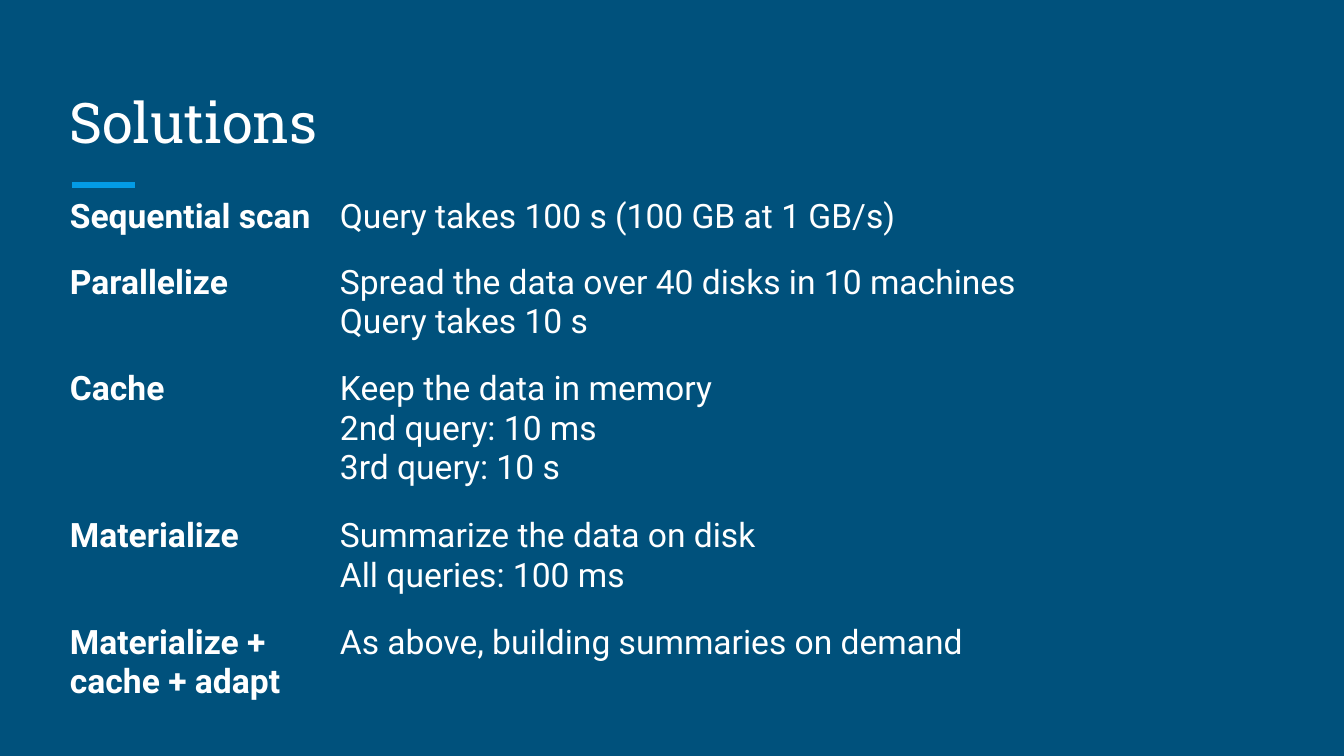
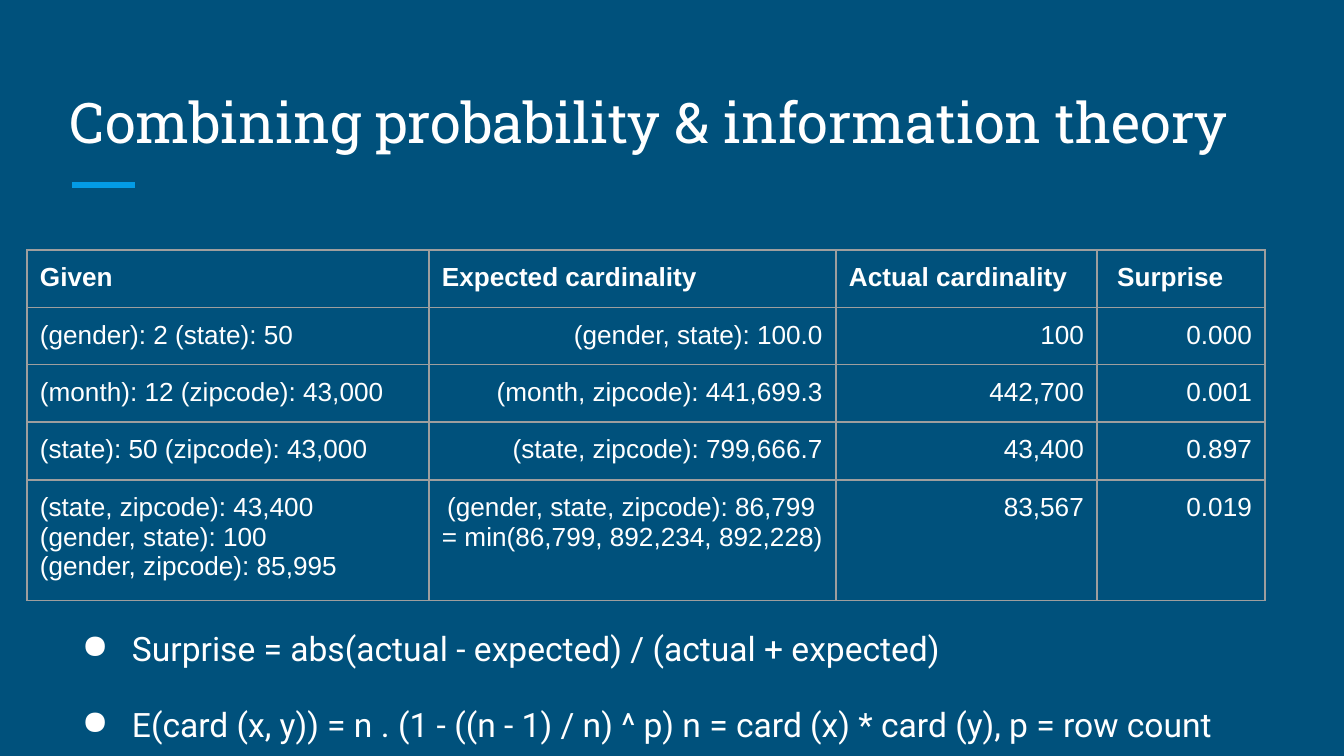
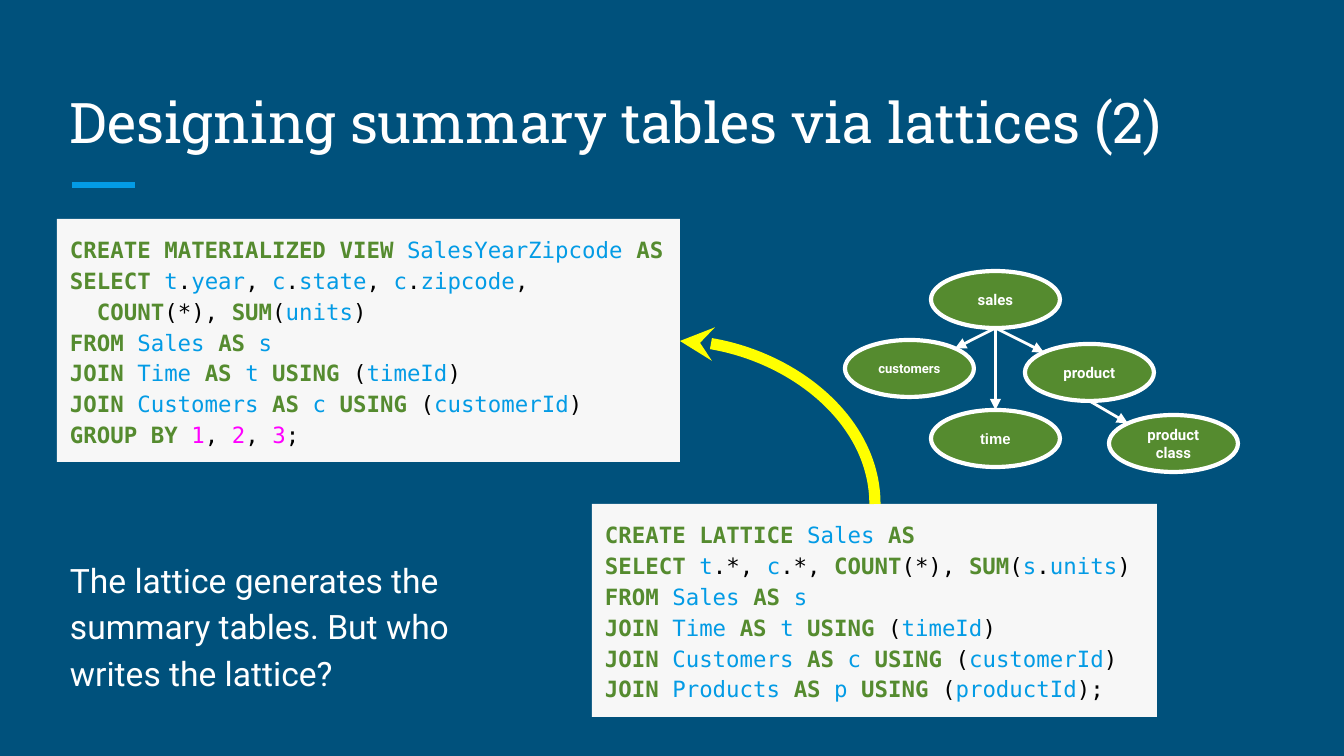
from itertools import groupby

from lxml.etree import SubElement
from pptx import Presentation
from pptx.dml.color import RGBColor
from pptx.enum.shapes import MSO_CONNECTOR, MSO_SHAPE
from pptx.enum.text import MSO_ANCHOR, PP_ALIGN
from pptx.oxml.ns import qn
from pptx.util import Pt

# Content
SOLUTIONS = [
    ("Sequential scan", "Query takes 100 s (100 GB at 1 GB/s)"),
    ("Parallelize", "Spread the data over 40 disks in 10 machines\nQuery takes 10 s"),
    ("Cache", "Keep the data in memory\n2nd query: 10 ms\n3rd query: 10 s"),
    ("Materialize", "Summarize the data on disk\nAll queries: 100 ms"),
    ("Materialize + cache + adapt", "As above, building summaries on demand"),
]
CARDINALITIES = [
    ("Given", "Expected cardinality", "Actual cardinality", " Surprise"),
    ("(gender): 2 (state): 50", "(gender, state): 100.0", "100", "0.000"),
    ("(month): 12 (zipcode): 43,000", "(month, zipcode): 441,699.3", "442,700", "0.001"),
    ("(state): 50 (zipcode): 43,000", "(state, zipcode): 799,666.7", "43,400", "0.897"),
    ("(state, zipcode): 43,400\n(gender, state): 100\n(gender, zipcode): 85,995",
     "(gender, state, zipcode): 86,799 \n= min(86,799, 892,234, 892,228)",
     "83,567", "0.019"),
]
FORMULAS = [
    "Surprise = abs(actual - expected) / (actual + expected)",
    "E(card (x, y)) = n . (1 - ((n - 1) / n) ^ p) n = card (x) * card (y), p = row count",
]
LATTICE_SQL = """CREATE LATTICE Sales AS
SELECT t.*, c.*, COUNT(*), SUM(s.units)
FROM Sales AS s
JOIN Time AS t USING (timeId)
JOIN Customers AS c USING (customerId)
JOIN Products AS p USING (productId);"""
VIEW_SQL = """CREATE MATERIALIZED VIEW SalesYearZipcode AS
SELECT t.year, c.state, c.zipcode,
  COUNT(*), SUM(units)
FROM Sales AS s
JOIN Time AS t USING (timeId)
JOIN Customers AS c USING (customerId)
GROUP BY 1, 2, 3;"""
QUESTION = "The lattice generates the summary tables. But who writes the lattice?"

# Lattice nodes: left, top, font, size
NODES = {
    "sales": (931, 271, "Roboto", 8),
    "customers": (845, 340, "Roboto", 7),
    "product": (1025, 344, "Roboto", 8),
    "time": (931, 410, "Arial", 8),
    "product class": (1109, 415, "Roboto", 8),
}
NODE_WIDTH, NODE_HEIGHT = 129, 57
# Parent, child, side of the child's upper edge (-1 left, 0 middle, 1 right)
JOINS = [("sales", "product", -1), ("sales", "customers", 1),
         ("sales", "time", 0), ("product", "product class", -1)]

# Shared look
BACKGROUND = RGBColor(0x00, 0x51, 0x7C)
WHITE = RGBColor(0xFF, 0xFF, 0xFF)
BLACK = RGBColor(0x00, 0x00, 0x00)
BLUE = RGBColor(0x03, 0x9B, 0xE5)
GREEN = RGBColor(0x55, 0x8B, 0x2F)
MAGENTA = RGBColor(0xFF, 0x00, 0xFF)
YELLOW = RGBColor(0xFF, 0xFF, 0x00)
PAPER = RGBColor(0xF7, 0xF7, 0xF7)
GRID = "9E9E9E"
PLAIN_TABLE = "{2D5ABB26-0587-4C30-8999-92F81FD0307C}"
INSET = 13
LEFT = 57


def px(length):
    return round(length * 914400 / 134.4)


def set_font(para, name, size, color=None, bold=False):
    para.font.name = name
    para.font.size = Pt(size)
    para.font.bold = bold
    if color is not None:
        para.font.color.rgb = color


def set_spacing(para):
    para.line_spacing = 1.15
    para.space_after = Pt(16)


def prepare_frame(frame, anchor=MSO_ANCHOR.TOP):
    frame.word_wrap = True
    frame.vertical_anchor = anchor
    frame.margin_left = frame.margin_right = px(INSET)
    frame.margin_top = frame.margin_bottom = px(INSET)
    return frame


def add_text(page, area, anchor=MSO_ANCHOR.TOP):
    box = page.shapes.add_textbox(*map(px, area))
    return prepare_frame(box.text_frame, anchor)


def add_line(page, start, end, color, width, head=None, kind=MSO_CONNECTOR.STRAIGHT):
    line = page.shapes.add_connector(kind, *map(px, start + end))
    line.line.color.rgb = color
    line.line.width = Pt(width)
    if head:
        SubElement(line.line._get_or_add_ln(), qn("a:tailEnd"), type=head)
    SubElement(line._element.spPr, qn("a:effectLst"))
    return line


def add_shape(page, kind, area, color, anchor):
    shape = page.shapes.add_shape(kind, *map(px, area))
    shape.shadow.inherit = False
    shape.fill.solid()
    shape.fill.fore_color.rgb = color
    shape.line.fill.background()
    prepare_frame(shape.text_frame, anchor)
    return shape


def add_page(deck, title):
    page = deck.slides.add_slide(deck.slide_layouts[6])
    page.background.fill.solid()
    page.background.fill.fore_color.rgb = BACKGROUND
    add_line(page, (72, 185), (135, 185), BLUE, 3)
    para = add_text(page, (LEFT, 67, 1230, 101), MSO_ANCHOR.BOTTOM).paragraphs[0]
    para.text = title
    set_font(para, "Roboto Slab", 30, WHITE)
    return page


def set_borders(cell):
    properties = cell._tc.get_or_add_tcPr()
    for index, side in enumerate(("a:lnL", "a:lnR", "a:lnT", "a:lnB")):
        border = SubElement(properties, qn(side), w=str(Pt(0.75)))
        SubElement(SubElement(border, qn("a:solidFill")), qn("a:srgbClr"), val=GRID)
        properties.insert(index, border)


def add_grid(page, left, top, widths, heights, rows, font, size, is_bold, is_right, bordered):
    area = (left, top, sum(widths), sum(heights))
    table = page.shapes.add_table(len(rows), len(widths), *map(px, area)).table
    table.first_row = table.horz_banding = False
    table._tbl.tblPr.find(qn("a:tableStyleId")).text = PLAIN_TABLE
    for column, width in zip(table.columns, widths):
        column.width = px(width)
    for r, (height, texts) in enumerate(zip(heights, rows)):
        table.rows[r].height = px(height)
        for c, text in enumerate(texts):
            cell = table.cell(r, c)
            cell.fill.background()
            cell.margin_left = cell.margin_right = px(INSET)
            cell.margin_top = cell.margin_bottom = px(INSET)
            para = cell.text_frame.paragraphs[0]
            para.text = text
            para.alignment = PP_ALIGN.RIGHT if is_right(r, c) else PP_ALIGN.LEFT
            set_font(para, font, size, WHITE, is_bold(r, c))
            if bordered:
                set_borders(cell)


def add_bullet(para):
    properties = para._p.get_or_add_pPr()
    properties.set("marL", str(px(67)))
    properties.set("indent", str(-px(50)))
    color = SubElement(properties, qn("a:buClr"))
    SubElement(color, qn("a:srgbClr"), val=str(WHITE))
    SubElement(properties, qn("a:buChar"), char="●")


def token_color(token):
    if not token.isalnum():
        return BLACK
    if token.isdigit():
        return MAGENTA
    return GREEN if token.isupper() else BLUE


def add_code(page, area, code):
    box = add_shape(page, MSO_SHAPE.RECTANGLE, area, PAPER, MSO_ANCHOR.TOP)
    para = box.text_frame.paragraphs[0]
    para.alignment = PP_ALIGN.LEFT
    set_spacing(para)
    set_font(para, "DejaVu Sans Mono", 12)
    for number, line in enumerate(code.split("\n")):
        if number:
            para.add_line_break()
        for _, letters in groupby(line, key=str.isalnum):
            span = para.add_run()
            span.text = "".join(letters)
            span.font.color.rgb = token_color(span.text)
            span.font.bold = span.font.color.rgb == GREEN


def add_curved_arrow(page, start, end):
    # A quarter curve that leaves upwards: its frame is turned by 90 degrees
    middle_x, middle_y = (start[0] + end[0]) / 2, (start[1] + end[1]) / 2
    half_width, half_height = (start[1] - end[1]) / 2, (start[0] - end[0]) / 2
    arrow = add_line(page, (middle_x + half_width, middle_y - half_height),
                     (middle_x - half_width, middle_y + half_height),
                     YELLOW, 6, "stealth", MSO_CONNECTOR.CURVE)
    properties = arrow._element.spPr
    properties.find(qn("a:xfrm")).set("rot", str(90 * 60000))
    properties.find(qn("a:prstGeom")).set("prst", "curvedConnector2")


def add_lattice(page):
    for name, (left, top, font, size) in NODES.items():
        node = add_shape(page, MSO_SHAPE.OVAL, (left, top, NODE_WIDTH, NODE_HEIGHT),
                         GREEN, MSO_ANCHOR.MIDDLE)
        node.line.color.rgb = WHITE
        node.line.width = Pt(2.25)
        para = node.text_frame.paragraphs[0]
        para.text = name
        para.alignment = PP_ALIGN.CENTER
        set_font(para, font, size, WHITE, True)
    diagonal = 0.5 ** 0.5
    for parent, child, side in JOINS:
        left, top = NODES[parent][:2]
        start = (left + NODE_WIDTH / 2, top + NODE_HEIGHT)
        left, top = NODES[child][:2]
        drop = (1 - diagonal) / 2 if side else 0
        end = (left + NODE_WIDTH / 2 * (1 + side * diagonal), top + NODE_HEIGHT * drop)
        add_line(page, start, end, WHITE, 1.5, "triangle")


def build_solutions(deck):
    page = add_page(deck, "Solutions")
    line_counts = [1, 2, 3, 2, 2]
    heights = [2 * INSET + 40 * count for count in line_counts]
    add_grid(page, LEFT, 184, (270, 738), heights, SOLUTIONS, "Roboto", 18,
             lambda r, c: c == 0, lambda r, c: False, False)


def build_cardinalities(deck):
    page = add_page(deck, "Combining probability & information theory")
    add_grid(page, 27, 250, (402, 407, 261, 168), (56, 56, 57, 58, 115),
             CARDINALITIES, "Arial", 14,
             lambda r, c: r == 0, lambda r, c: r > 0 and c > 0, True)
    frame = add_text(page, (52, 609, 1230, 124))
    for number, formula in enumerate(FORMULAS):
        para = frame.add_paragraph() if number else frame.paragraphs[0]
        para.text = formula
        set_spacing(para)
        add_bullet(para)
        set_font(para, "Roboto", 18, WHITE)


def build_lattice(deck):
    page = add_page(deck, "Designing summary tables via lattices (2)")
    add_code(page, (592, 504, 565, 213), LATTICE_SQL)
    add_code(page, (LEFT, 219, 623, 243), VIEW_SQL)
    add_curved_arrow(page, (875, 504), (680, 341))
    add_lattice(page)
    para = add_text(page, (LEFT, 492, 450, 214), MSO_ANCHOR.BOTTOM).paragraphs[0]
    para.text = QUESTION
    set_spacing(para)
    set_font(para, "Roboto", 18, WHITE)


def main():
    deck = Presentation()
    deck.slide_width, deck.slide_height = px(1344), px(756)
    build_solutions(deck)
    build_cardinalities(deck)
    build_lattice(deck)
    deck.save("out.pptx")


if __name__ == "__main__":
    main()
